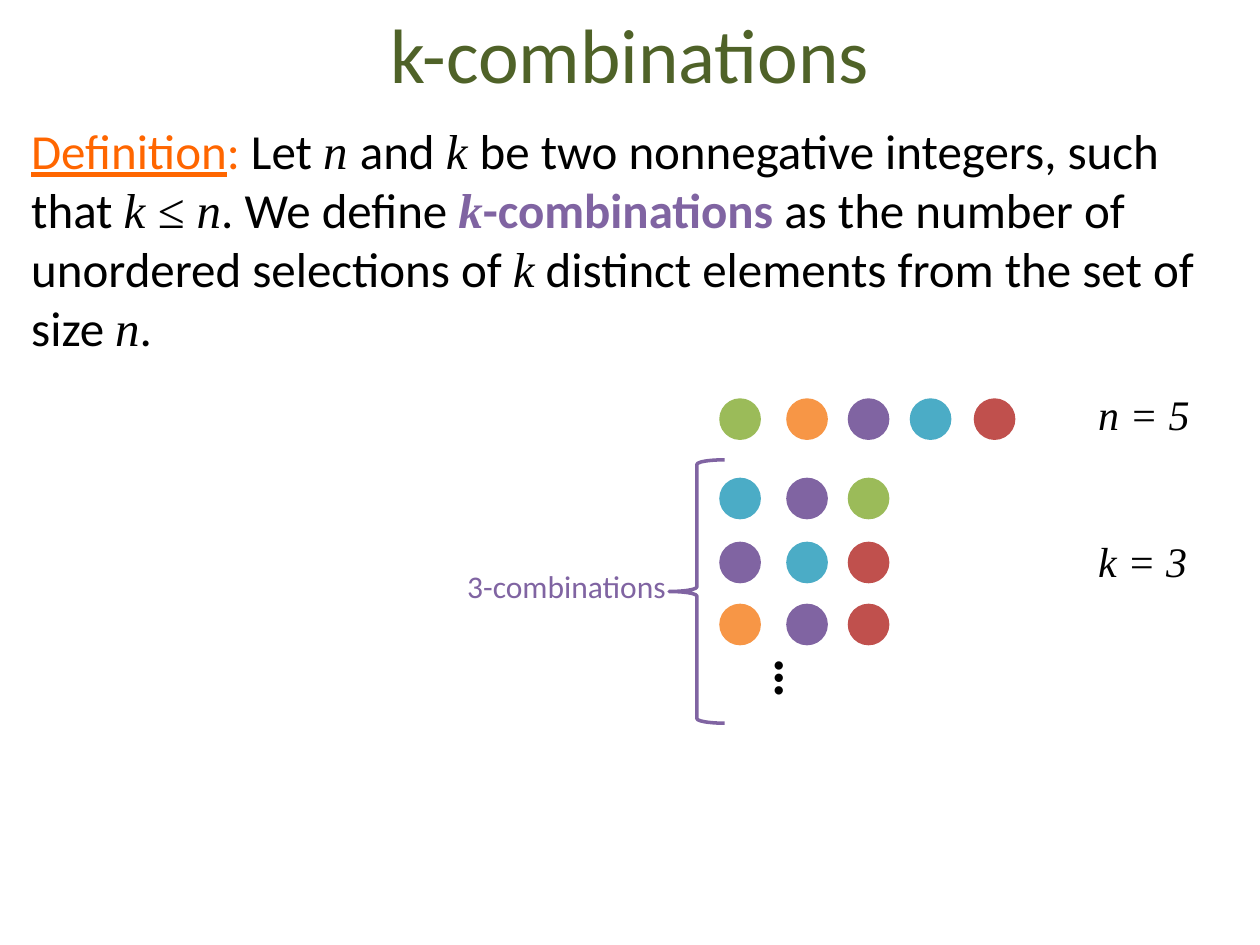
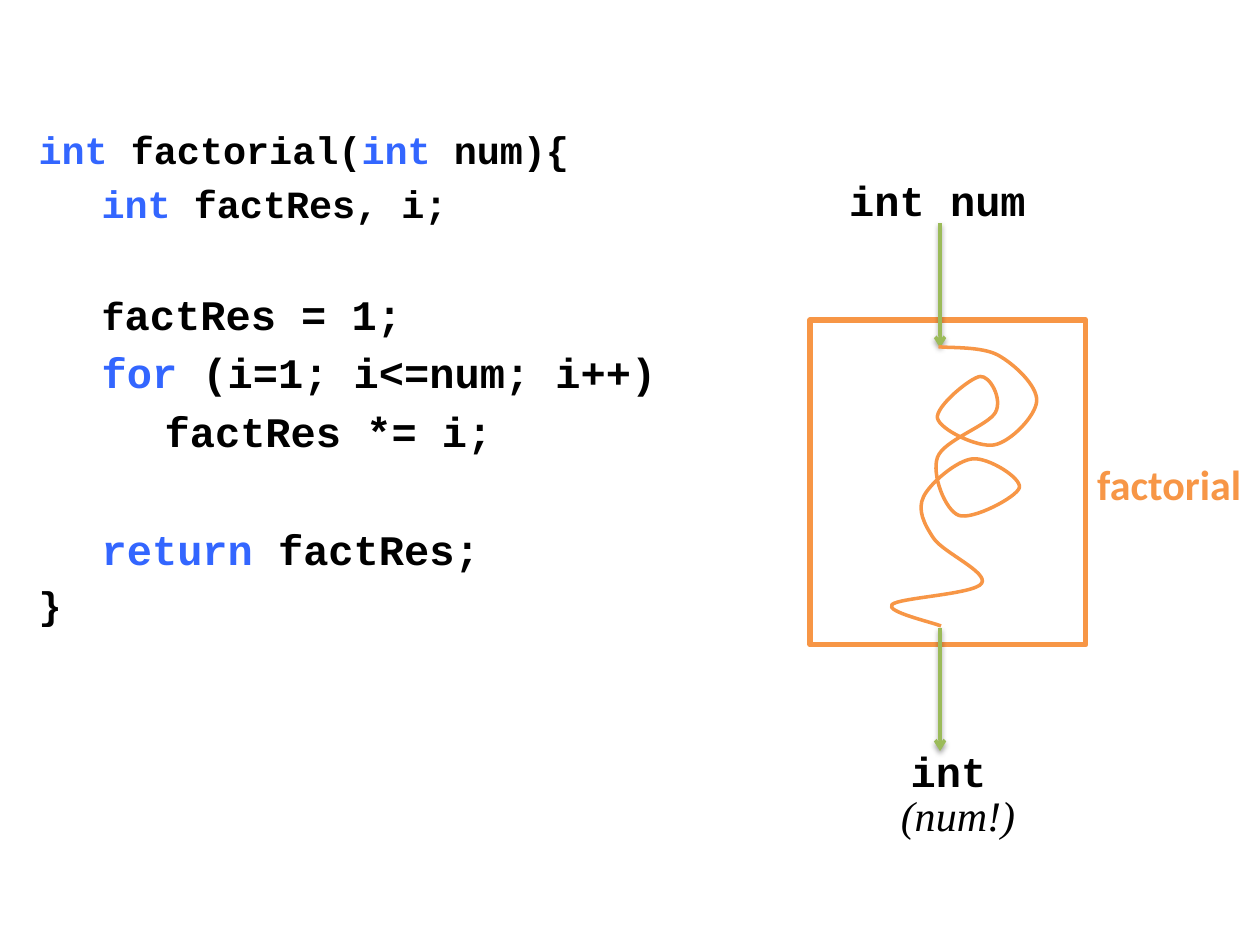
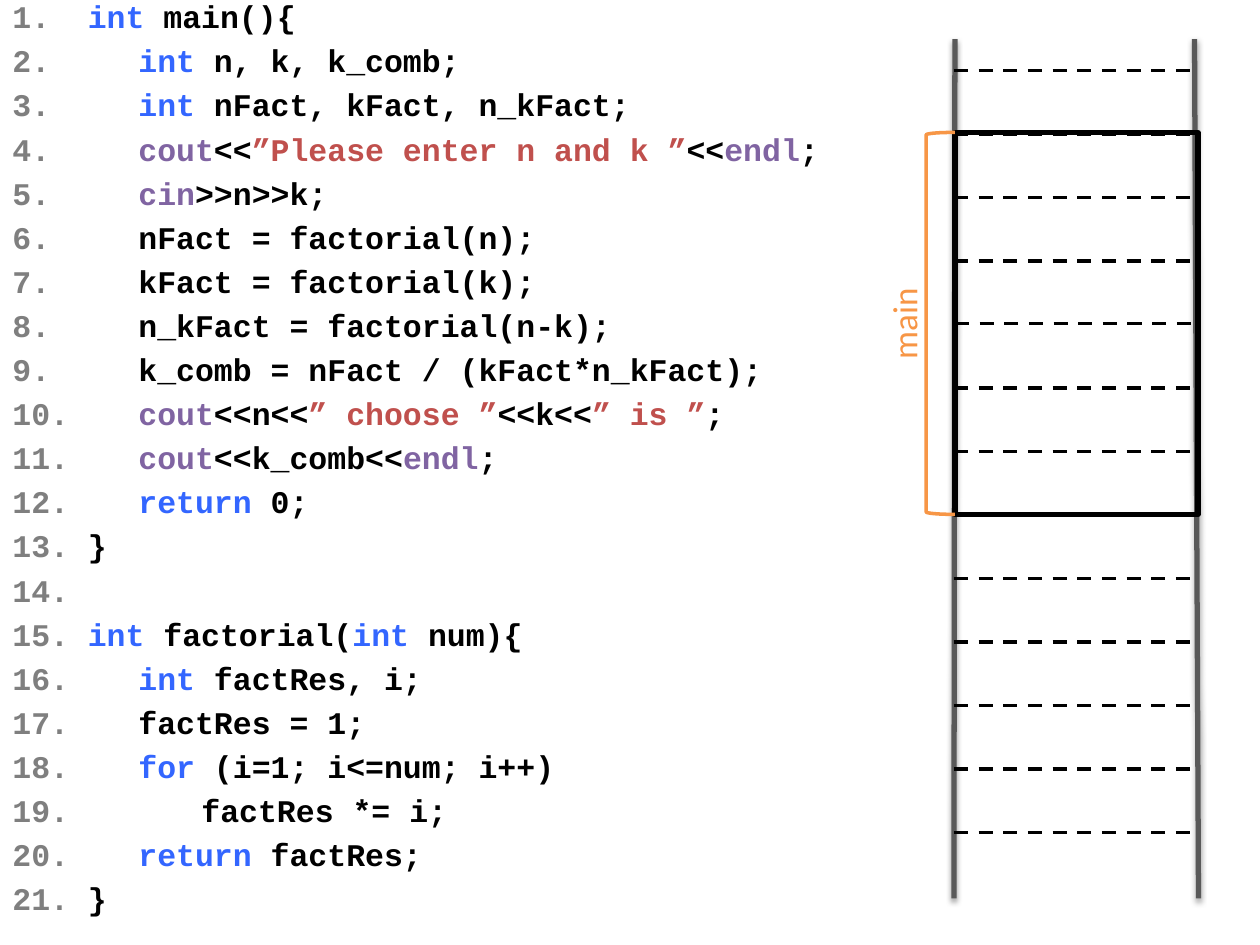
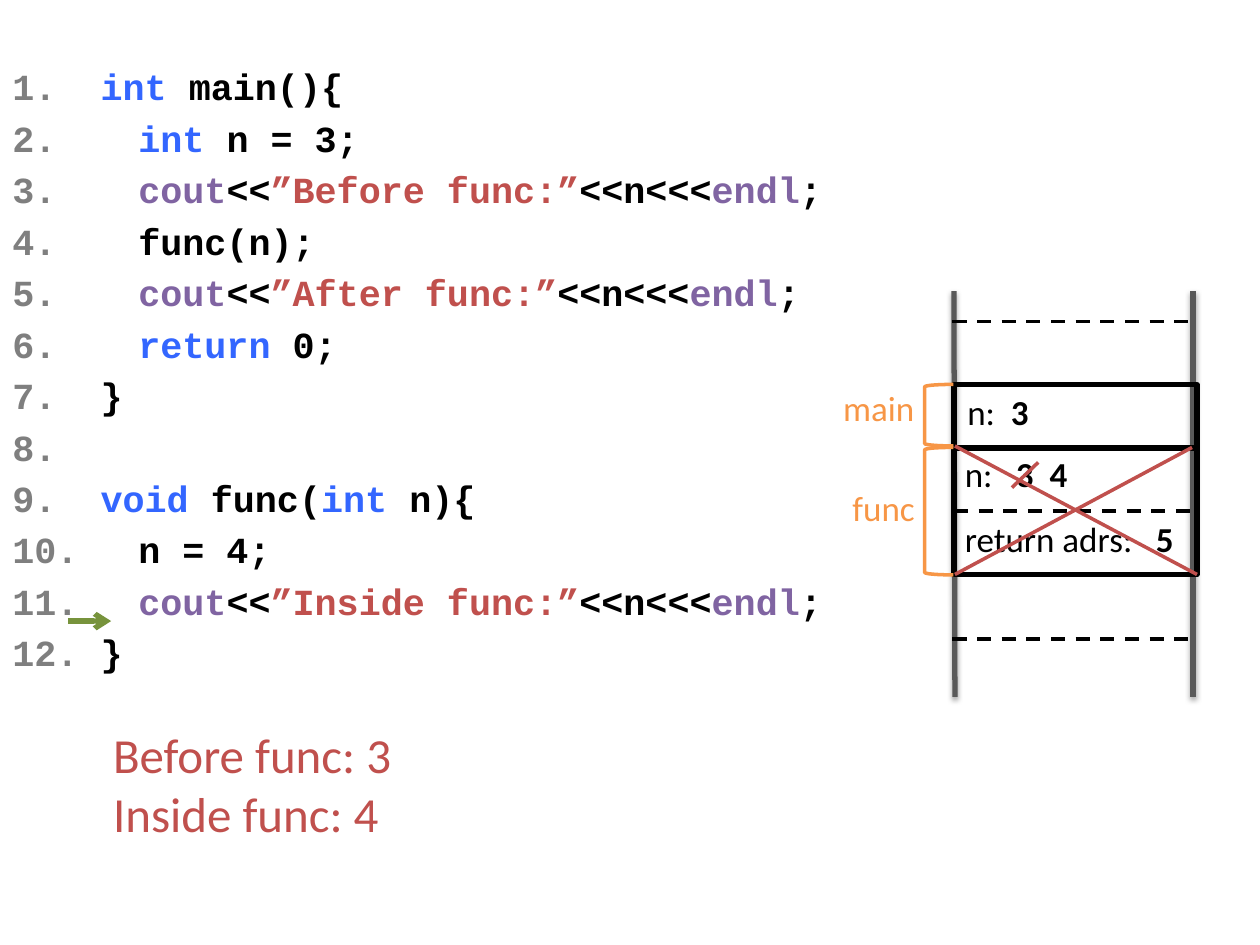
from dataclasses import dataclass
from itertools import groupby

from lxml import etree
from pptx import Presentation
from pptx import util as u
from pptx.dml.color import RGBColor
from pptx.enum import dml, shapes, text
from pptx.oxml import ns


@dataclass(frozen=True)
class Theme:
    body: str = "Calibri"
    math: str = "Times New Roman"
    code: str = "Courier New"
    black: str = "000000"
    title: str = "4F6228"
    definition: str = "FF6600"
    green: str = "9BBB59"
    dark_green: str = "77933C"
    orange: str = "F79646"
    purple: str = "8064A2"
    aqua: str = "4BACC6"
    red: str = "C0504D"
    keyword: str = "3366FF"
    number: str = "7F7F7F"
    rail: str = "595959"
    title_size: int = 44
    ellipsis_size: int = 32
    body_size: int = 28
    label_size: int = 24
    small_label_size: int = 20
    brace_size: int = 18
    thin: int = 2
    thick: int = 3


@dataclass(frozen=True)
class CodeLine:
    content: str
    size: int
    lead: str = ""
    lead_size: int = 0


THEME = Theme()
MATH = {"name": THEME.math, "italic": True}
BOLD = {"bold": True}
WORD_COLORS = {
    **dict.fromkeys(("int", "for", "return", "void"), THEME.keyword),
    **dict.fromkeys(("cout", "cin", "endl"), THEME.purple),
}
DOT_DIAMETER = 0.84
DOT_COLUMNS = (14.5, 15.85, 17.09, 18.34, 19.63)
CELL_HEIGHT = 1.28
SPACE_BEFORE = 0.2
EMPTY_LINE = 1.4


def highlight(line):
    tokens = []
    for index, part in enumerate(line.split("”")):
        if index % 2:
            tokens.append((f"”{part}”", THEME.red))
            continue
        for _, letters in groupby(part, lambda letter: letter.isalnum() or letter == "_"):
            word = "".join(letters)
            tokens.append((word, WORD_COLORS.get(word, THEME.black)))
    return [
        ("".join(word for word, _ in group), {"color": color})
        for color, group in groupby(tokens, lambda token: token[1])
    ]


def bezier_segments(anchors):
    padded = [anchors[0], *anchors, anchors[-1]]
    for before, start, end, after in zip(padded, padded[1:], padded[2:], padded[3:]):
        leaving = tuple(b + (c - a) / 6 for a, b, c in zip(before, start, end))
        arriving = tuple(c - (d - b) / 6 for b, c, d in zip(start, end, after))
        yield leaving, arriving, end


def set_font(font, name=None, size=None, color=None, bold=None, italic=None, underline=None):
    if name:
        font.name = name
    if size:
        font.size = u.Pt(size)
    if color:
        font.color.rgb = RGBColor.from_string(color)
    if bold is not None:
        font.bold = bold
    if italic is not None:
        font.italic = italic
    if underline is not None:
        font.underline = underline


def set_tabs(paragraph, stops):
    tab_list = etree.SubElement(paragraph._p.get_or_add_pPr(), ns.qn("a:tabLst"))
    for stop in stops:
        etree.SubElement(tab_list, ns.qn("a:tab"), pos=str(u.Cm(stop)), algn="l")


def set_line(line, color, width):
    line.color.rgb = RGBColor.from_string(color)
    line.width = u.Pt(width)


class Deck:
    def __init__(self, theme):
        self.theme = theme
        self.presentation = Presentation()
        self.presentation.slide_width = u.Cm(25.4)
        self.presentation.slide_height = u.Cm(19.05)
        self.slide = None

    def new_slide(self):
        self.slide = self.presentation.slides.add_slide(self.presentation.slide_layouts[6])

    def text(self, box, paragraphs, align=None, rotation=0, tabs=(), wrap=True, grow=True, **style):
        shape = self.slide.shapes.add_textbox(*map(u.Cm, box))
        shape.rotation = rotation
        frame = shape.text_frame
        frame.word_wrap = wrap
        frame.auto_size = (
            text.MSO_AUTO_SIZE.SHAPE_TO_FIT_TEXT if grow else text.MSO_AUTO_SIZE.NONE
        )
        style = {"name": self.theme.body, "color": self.theme.black, **style}
        for index, runs in enumerate(paragraphs):
            paragraph = frame.add_paragraph() if index else frame.paragraphs[0]
            if tabs:
                set_tabs(paragraph, tabs)
            paragraph.alignment = align
            set_font(paragraph.font, **style)
            for content, run_style in [(runs, {})] if isinstance(runs, str) else runs:
                run = paragraph.add_run()
                run.text = content
                set_font(run.font, **run_style)
        return shape

    def title(self, content):
        shape = self.text(
            (1.27, -0.53, 22.86, 3.18), [content], text.PP_ALIGN.CENTER, grow=False,
            size=self.theme.title_size, color=self.theme.title,
        )
        shape.text_frame.vertical_anchor = text.MSO_ANCHOR.MIDDLE

    def code(self, box, lines, tabs):
        paragraphs, sizes, gaps = [], [], []
        gap = 0
        for line in lines:
            if not line.content and not line.lead:
                gap = line.size * EMPTY_LINE
                continue
            runs = highlight(line.content)
            if line.lead:
                color = self.theme.black if line.lead_size else self.theme.number
                runs.insert(0, (line.lead, {"color": color, "size": line.lead_size}))
            paragraphs.append(runs)
            sizes.append(line.size)
            gaps.append(gap + line.size * SPACE_BEFORE)
            gap = 0
        shape = self.text(box, paragraphs, tabs=tabs, grow=False, name=self.theme.code, bold=True)
        for paragraph, size, gap in zip(shape.text_frame.paragraphs, sizes, gaps):
            paragraph.font.size = u.Pt(size)
            paragraph.space_before = u.Pt(round(gap, 1))

    def numbered_code(self, box, lines, size, tabs):
        self.code(box, [
            CodeLine(line, size, f"{number}.\t" if line else f"{number}.")
            for number, line in enumerate(lines, 1)
        ], tabs)

    def outline(self, kind, box, color, width):
        shape = self.slide.shapes.add_shape(kind, *map(u.Cm, box))
        shape.shadow.inherit = False
        shape.fill.background()
        set_line(shape.line, color, width)
        return shape

    def frame(self, box, color=None):
        return self.outline(
            shapes.MSO_SHAPE.RECTANGLE, box, color or self.theme.black, self.theme.thick
        )

    def bracket(self, left, top, height):
        self.outline(
            shapes.MSO_SHAPE.LEFT_BRACKET, (left, top, 0.58, height),
            self.theme.orange, self.theme.thin,
        )

    def dot(self, left, top, color):
        shape = self.slide.shapes.add_shape(
            shapes.MSO_SHAPE.OVAL, *map(u.Cm, (left, top, DOT_DIAMETER, DOT_DIAMETER))
        )
        shape.shadow.inherit = False
        shape.fill.solid()
        shape.fill.fore_color.rgb = RGBColor.from_string(color)
        shape.line.fill.background()

    def curve(self, anchors, color):
        points = [tuple(map(u.Cm, anchor)) for anchor in anchors]
        builder = self.slide.shapes.build_freeform(*points[0])
        builder.add_line_segments(points[1:], close=False)
        shape = builder.convert_to_shape()
        shape.shadow.inherit = False
        shape.fill.background()
        set_line(shape.line, color, self.theme.thin)
        straight_parts = list(shape._element.iter(ns.qn("a:lnTo")))
        for part, segment in zip(straight_parts, bezier_segments(points)):
            bend = etree.Element(ns.qn("a:cubicBezTo"))
            for x, y in segment:
                etree.SubElement(
                    bend, ns.qn("a:pt"), x=str(round(x - shape.left)), y=str(round(y - shape.top))
                )
            part.getparent().replace(part, bend)

    def line(self, start, end, color, width, dashed=False, arrow=False, shadow=False):
        connector = self.slide.shapes.add_connector(
            shapes.MSO_CONNECTOR.STRAIGHT, *map(u.Cm, (*start, *end))
        )
        set_line(connector.line, color, width)
        if dashed:
            connector.line.dash_style = dml.MSO_LINE.DASH
        if arrow:
            etree.SubElement(connector.line._get_or_add_ln(), ns.qn("a:tailEnd"), type="arrow")
        effects = etree.SubElement(connector._element.spPr, ns.qn("a:effectLst"))
        if shadow:
            outer = etree.SubElement(
                effects, ns.qn("a:outerShdw"), blurRad=str(u.Pt(3.1)), dist=str(u.Pt(1.6)),
                dir="5400000", rotWithShape="0",
            )
            black = etree.SubElement(outer, ns.qn("a:srgbClr"), val=self.theme.black)
            etree.SubElement(black, ns.qn("a:alpha"), val="38000")
        return connector

    def memory(self, rails, left, right, top, count):
        for start, end in rails:
            self.line(start, end, self.theme.rail, self.theme.thick, shadow=True)
        return [
            self.line((left, y), (right, y), self.theme.black, self.theme.thin, dashed=True)
            for y in (top + CELL_HEIGHT * index for index in range(count))
        ]


def join_sides(connector, frame):
    connector.begin_connect(frame, 1)
    connector.end_connect(frame, 3)


def combinations_slide(deck):
    deck.new_slide()
    deck.title("k-combinations")
    accent = {"color": THEME.purple, "bold": True}
    definition = deck.text((0.38, 2.31, 24.49, 6.22), [[
        ("Definition", {"color": THEME.definition, "underline": True}),
        (":", {"color": THEME.definition}),
        (" Let ", {}), ("n ", MATH), ("and ", {}), ("k ", MATH),
        ("be two nonnegative integers, such that ", {}), ("k ≤ n", MATH),
        (". We define ", {}), ("k", {**MATH, **accent}), ("-combinations ", accent),
        ("as the number of unordered selections of ", {}), ("k", MATH),
        (" distinct elements from the set of size ", {}), ("n", MATH), (".", {}),
    ]], grow=False, size=THEME.body_size)
    definition.text_frame.paragraphs[0].space_before = u.Pt(6)

    dot_rows = {
        8.03: (THEME.green, THEME.orange, THEME.purple, THEME.aqua, THEME.red),
        9.63: (THEME.aqua, THEME.purple, THEME.green),
        10.92: (THEME.purple, THEME.aqua, THEME.red),
        12.17: (THEME.orange, THEME.purple, THEME.red),
    }
    for top, colors in dot_rows.items():
        for left, color in zip(DOT_COLUMNS, colors):
            deck.dot(left, top, color)
    for top, label in ((7.7, "n = 5"), (10.67, "k = 3")):
        deck.text((21.89, top, 2.49, 1.27), [label], size=THEME.label_size, **MATH)
    deck.text((14.81, 13.46, 2.51, 1.63), ["…"], rotation=90, size=THEME.ellipsis_size, bold=True)
    deck.outline(
        shapes.MSO_SHAPE.LEFT_BRACE, (13.49, 9.27, 1.12, 5.31), THEME.purple, THEME.thin
    )
    deck.text(
        (9.17, 11.3, 4.57, 1.02), ["3-combinations"], size=THEME.brace_size, color=THEME.purple
    )


def factorial_slide(deck):
    deck.new_slide()
    deck.code((0.53, 2.41, 24.87, 16.61), [
        CodeLine("int factorial(int num){", 22),
        CodeLine("\tint factRes, i;", 22),
        CodeLine("", 22),
        CodeLine("actRes = 1;", 24, "\tf", 22),
        CodeLine("\tfor (i=1; i<=num; i++)", 24),
        CodeLine("\t\tfactRes *= i;", 24),
        CodeLine("", 24),
        CodeLine("\treturn factRes;", 24),
        CodeLine("}", 22),
    ], (1.27, 2.54))
    deck.frame((16.33, 6.45, 5.56, 6.55), THEME.orange)
    deck.text(
        (21.87, 9.12, 3.56, 1.27), ["factorial"],
        size=THEME.label_size, color=THEME.orange, bold=True,
    )
    for top, bottom in ((4.5, 7.01), (12.65, 15.14)):
        deck.line(
            (18.95, top), (18.95, bottom), THEME.green, THEME.thin, arrow=True, shadow=True
        )
    for box, label in (((16.87, 3.4, 5.28, 1.27), "int num"), ((18.11, 14.91, 2.44, 1.27), "int")):
        deck.text(box, [label], name=THEME.code, size=THEME.label_size, bold=True)
    deck.curve([
        (18.92, 6.99), (20.12, 7.16), (20.9, 8.08), (20.04, 8.97),
        (18.9, 8.43), (19.76, 7.59), (20.07, 8.31), (18.9, 9.22),
        (19.33, 10.39), (20.55, 9.83), (19.61, 9.25), (18.62, 10.01),
        (18.82, 10.85), (19.79, 11.76), (17.98, 12.19), (18.97, 12.62),
    ], THEME.orange)
    deck.text((17.91, 15.8, 3.07, 1.27), ["(num!)"], wrap=False, size=THEME.label_size, **MATH)


def main_frame_slide(deck):
    deck.new_slide()
    deck.numbered_code((0, -0.18, 25.76, 19.23), [
        "int main(){",
        "\tint n, k, k_comb;",
        "\tint nFact, kFact, n_kFact;",
        "\tcout<<”Please enter n and k ”<<endl;",
        "\tcin>>n>>k;",
        "\tnFact = factorial(n);",
        "\tkFact = factorial(k);",
        "\tn_kFact = factorial(n-k);",
        "\tk_comb = nFact / (kFact*n_kFact);",
        "\tcout<<n<<” choose ”<<k<<” is ”;",
        "\tcout<<k_comb<<endl;",
        "\treturn 0;",
        "}",
        "",
        "int factorial(int num){",
        "\tint factRes, i;",
        "\tfactRes = 1;",
        "\tfor (i=1; i<=num; i++)",
        "\t\tfactRes *= i;",
        "\treturn factRes;",
        "}",
    ], 18, (1.52, 2.54, 3.81))
    rails = (((19.25, 0.79), (19.23, 18.11)), ((24.16, 18.11), (24.08, 0.79)))
    cells = deck.memory(rails, 19.23, 24.08, 1.42, 13)
    join_sides(cells[4], deck.frame((19.25, 2.67, 4.9, 7.7)))
    deck.bracket(18.67, 2.67, 7.7)
    deck.text(
        (16.61, 5.97, 3.23, 1.12), ["main"], text.PP_ALIGN.CENTER, rotation=270,
        size=THEME.small_label_size, color=THEME.orange,
    )


def call_by_value_slide(deck):
    deck.new_slide()
    deck.numbered_code((0, 1.17, 18.19, 14.2), [
        "int main(){",
        "\tint n = 3;",
        "\tcout<<”Before func:”<<n<<<endl;",
        "\tfunc(n);",
        "\tcout<<”After func:”<<n<<<endl;",
        "\treturn 0;",
        "}",
        "",
        "void func(int n){",
        "\tn = 4;",
        "\tcout<<”Inside func:”<<n<<<endl;",
        "}",
    ], 21, (1.78, 2.54))
    rails = (((19.23, 5.87), (19.25, 14.05)), ((24.05, 14.05), (24.05, 5.87)))
    cells = deck.memory(rails, 19.2, 24.05, 6.48, 6)
    deck.frame((19.23, 7.75, 4.9, 1.3))
    join_sides(cells[3], deck.frame((19.23, 9.02, 4.9, 2.57)))
    deck.bracket(18.64, 7.75, 1.24)
    deck.bracket(18.64, 9.02, 2.57)
    for left, top, label in ((16.51, 7.67, "main"), (16.61, 9.68, "func")):
        deck.text(
            (left, top, 2.41, 1.12), [label], text.PP_ALIGN.CENTER,
            size=THEME.small_label_size, color=THEME.orange,
        )
    variables = (
        (19.25, 7.75, "n:", "\t3", (0.88,)),
        (19.2, 8.99, "n:", "\t3\t4", (1.03, 1.71)),
        (19.2, 10.31, "return adrs:", "\t5", (3.85,)),
    )
    for left, top, name, value, tabs in variables:
        deck.text(
            (left, top, 4.8, 1.12), [[(name, {}), (value, BOLD)]], tabs=tabs,
            size=THEME.small_label_size,
        )
    strikes = (
        ((20.93, 9.32), (20.4, 9.83)),
        ((24.03, 9.02), (19.25, 11.58)),
        ((19.25, 8.99), (24.13, 11.58)),
    )
    for start, end in strikes:
        deck.line(start, end, THEME.red, THEME.thin)
    deck.line((1.37, 12.52), (2.24, 12.52), THEME.dark_green, THEME.thick, arrow=True)
    deck.text(
        (2.03, 14.48, 7.9, 2.64), ["Before func: 3", "Inside func: 4"],
        size=THEME.body_size, color=THEME.red,
    )


def main():
    deck = Deck(THEME)
    combinations_slide(deck)
    factorial_slide(deck)
    main_frame_slide(deck)
    call_by_value_slide(deck)
    deck.presentation.save("out.pptx")


if __name__ == "__main__":
    main()
